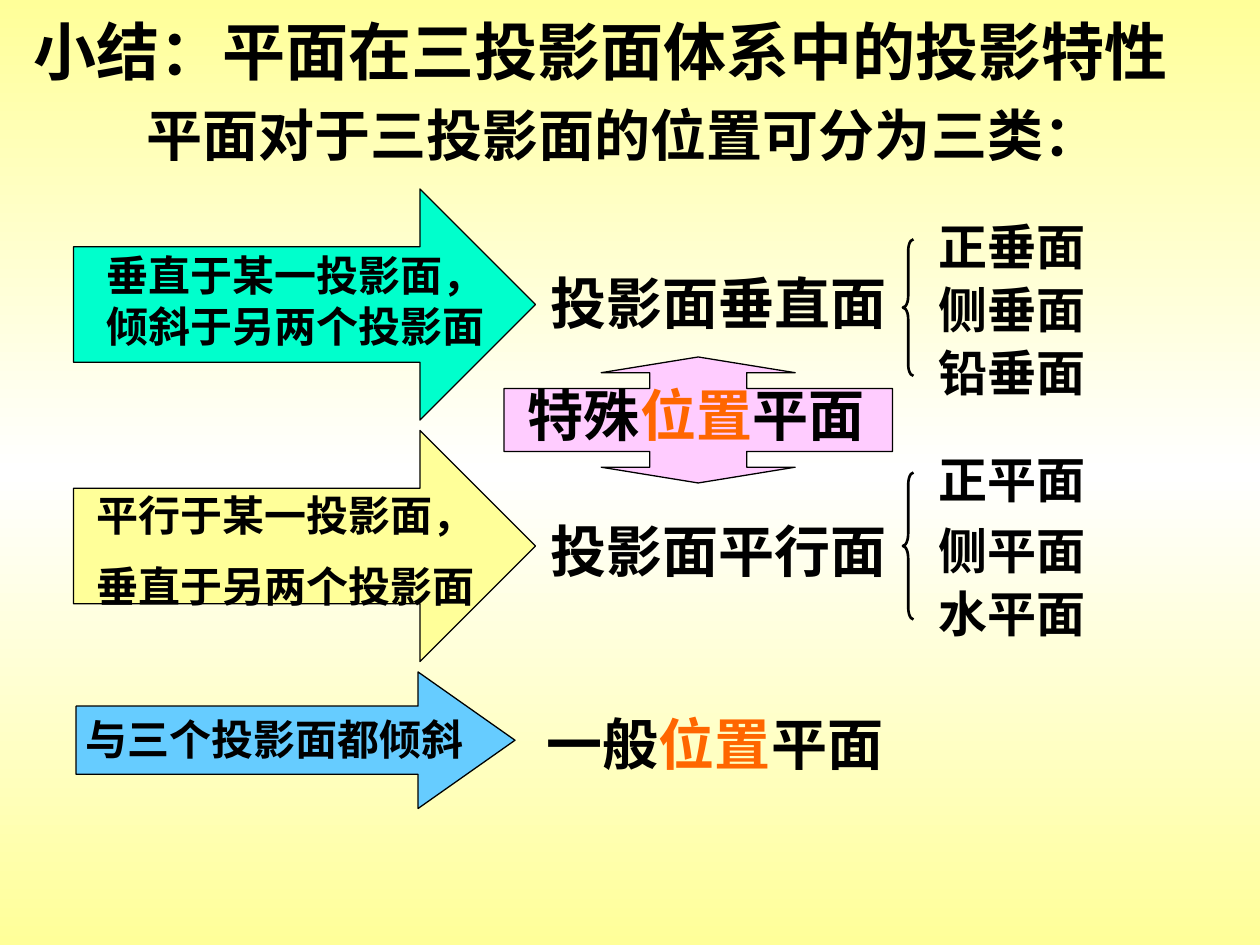
import copy
import pptx
import pptx.util
import pptx.dml.color
import pptx.enum.shapes
import pptx.enum.text

RGBColor = pptx.dml.color.RGBColor
BLACK = RGBColor(0x00, 0x00, 0x00)
WHITE = RGBColor(0xFF, 0xFF, 0xFF)
ORANGE = RGBColor(0xFF, 0x66, 0x00)
YELLOW = RGBColor(0xFF, 0xFF, 0x99)
GREEN = RGBColor(0x00, 0xFF, 0xCC)
BLUE = RGBColor(0x66, 0xCC, 0xFF)
PINK = RGBColor(0xFF, 0xCC, 0xFF)
SHAPES = pptx.enum.shapes.MSO_SHAPE
SANS = "Noto Sans CJK SC"
SERIF = "Times New Roman"

presentation = pptx.Presentation()
presentation.slide_width = pptx.util.Inches(10)
presentation.slide_height = pptx.util.Inches(7.5)
COLUMN = presentation.slide_width / 120
ROW = presentation.slide_height / 90
slide = presentation.slides.add_slide(presentation.slide_layouts[6])

background = slide.background.fill
background.gradient()
background.gradient_angle = 90
stops = background.gradient_stops
stop_list = stops[0]._gs.getparent()
stop_list.insert(1, copy.deepcopy(stops[0]._gs))
for stop, position, color in zip(background.gradient_stops, (0, 0.5, 1), (YELLOW, WHITE, YELLOW)):
    stop.position = position
    stop.color.rgb = color


def place(box):
    left, top, width, height = box
    return round(left * COLUMN), round(top * ROW), round(width * COLUMN), round(height * ROW)


def add_text(paragraphs, box, size, font=SERIF, wrap=False):
    frame = slide.shapes.add_textbox(*place(box)).text_frame
    frame.word_wrap = wrap
    frame.auto_size = pptx.enum.text.MSO_AUTO_SIZE.SHAPE_TO_FIT_TEXT
    frame.vertical_anchor = pptx.enum.text.MSO_ANCHOR.MIDDLE
    for index, parts in enumerate(paragraphs):
        paragraph = frame.add_paragraph() if index else frame.paragraphs[0]
        if index:
            paragraph.space_before = pptx.util.Pt(size / 2)
        for position, part in enumerate(parts):
            run = paragraph.add_run()
            run.text = part
            run.font.size = pptx.util.Pt(size)
            run.font.bold = True
            run.font.name = font
            run.font.color.rgb = ORANGE if position == 1 else BLACK


outlines = [
    (SHAPES.RIGHT_ARROW, (7.25, 64, 41.8, 13), (0.5, 0.71), BLUE, 0.75),
    (SHAPES.RIGHT_ARROW, (7, 41, 44, 22), (0.5, 0.5), YELLOW, 0.75),
    (SHAPES.RIGHT_ARROW, (7, 18, 44, 22), (0.5, 0.5), GREEN, 0.75),
    (SHAPES.UP_DOWN_ARROW_CALLOUT, (48, 34, 37, 12), (0.77, 0.77, 0.125, 0.5), PINK, 0.75),
    (SHAPES.LEFT_BRACE, (86, 22.8, 1, 13), (1.08, 0.5), None, 1.5),
    (SHAPES.LEFT_BRACE, (86, 45, 1, 14), (1.17, 0.5), None, 1.5),
]
for kind, box, adjustments, color, line_width in outlines:
    shape = slide.shapes.add_shape(kind, *place(box))
    shape.shadow.inherit = False
    for index, value in enumerate(adjustments):
        shape.adjustments[index] = value
    if color is None:
        shape.fill.background()
    else:
        shape.fill.solid()
        shape.fill.fore_color.rgb = color
    shape.line.color.rgb = BLACK
    shape.line.width = pptx.util.Pt(line_width)

add_text([["小结：平面在三投影面体系中的投影特性"]], (2, 0.5, 111.8, 8.5), 36, SANS)
add_text([["平面对于三投影面的位置可分为三类："]], (12.8, 9, 94.8, 7.6), 32, SANS, True)

for parts, left, top in [
    (["投影面垂直面"], 51.25, 25),
    (["投影面平行面"], 51.25, 48.6),
    (["一般", "位置", "平面"], 50.9, 67),
    (["特殊", "位置", "平面"], 49.1, 35.6),
]:
    add_text([parts], (left, top, 36, 7.6), 32, wrap=True)

add_text([["垂直于某一投影面，倾斜于另两个投影面"]], (9, 23.2, 39, 10.8), 24, wrap=True)
add_text([["平行于某一投影面，"], ["垂直于另两个投影面"]], (8, 47, 45, 10.8), 24, wrap=True)
add_text([["与三个投影面都倾斜"]], (7, 67.4, 38.8, 6), 24)

for text, top in [
    ("正垂面", 20), ("侧垂面", 26), ("铅垂面", 32),
    ("正平面", 42.2), ("侧平面", 49), ("水平面", 55),
]:
    add_text([[text]], (88.2, top, 16.4, 6.8), 28)

presentation.save("out.pptx")
